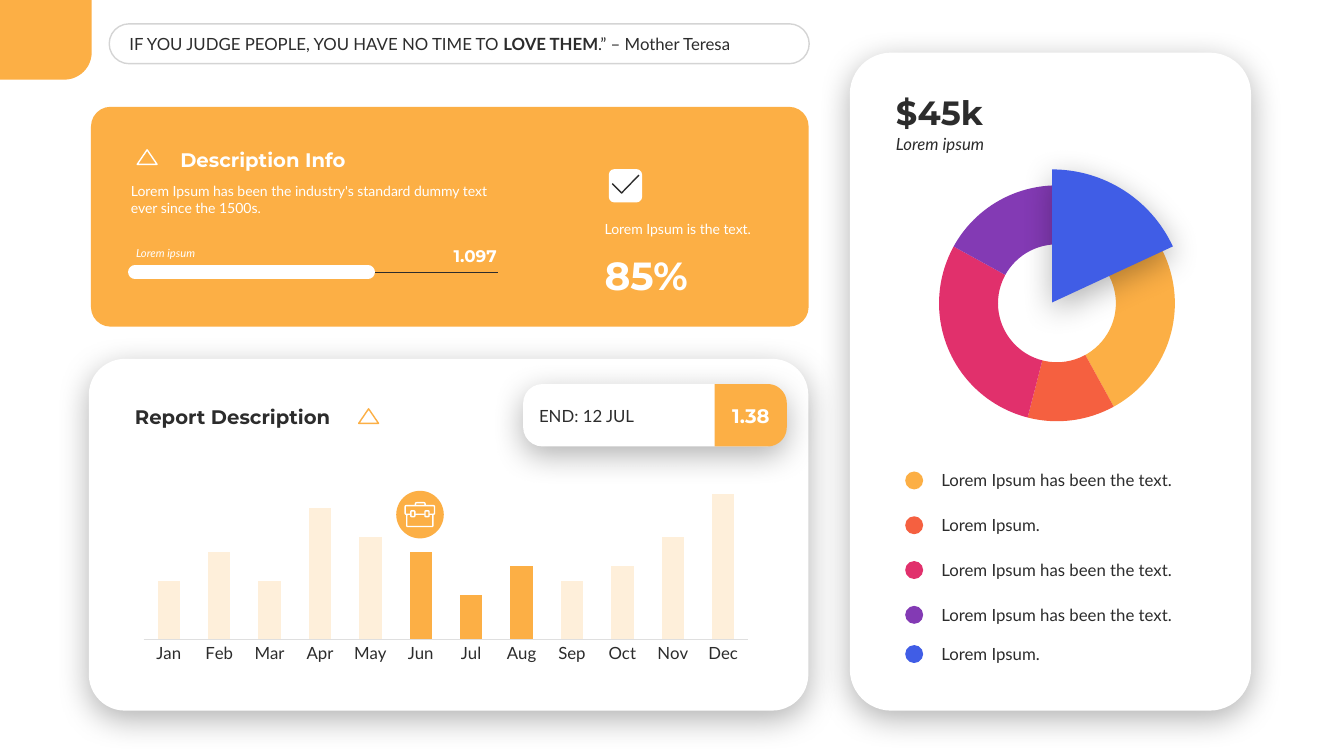
from math import cos, pi, sin

from lxml.etree import SubElement
from pptx import Presentation
from pptx.chart.data import CategoryChartData
from pptx.dml.color import RGBColor
from pptx.enum.chart import XL_CHART_TYPE, XL_TICK_MARK
from pptx.enum.shapes import MSO_CONNECTOR, MSO_SHAPE
from pptx.enum.text import MSO_ANCHOR, MSO_AUTO_SIZE, PP_ALIGN
from pptx.oxml.ns import qn
from pptx.oxml.xmlchemy import OxmlElement
from pptx.util import Pt

AMBER = RGBColor(0xFC, 0xAF, 0x45)
PALE = RGBColor(0xFE, 0xEF, 0xDA)
CORAL = RGBColor(0xF5, 0x60, 0x40)
PINK = RGBColor(0xE1, 0x30, 0x6C)
PURPLE = RGBColor(0x83, 0x3A, 0xB4)
BLUE = RGBColor(0x40, 0x5D, 0xE6)
DARK = RGBColor(0x2C, 0x2C, 0x2C)
GREY = RGBColor(0xDF, 0xDF, 0xDF)
WHITE = RGBColor(0xFF, 0xFF, 0xFF)

# Content
QUOTE = [("IF YOU JUDGE PEOPLE, YOU HAVE NO TIME TO ", False), ("LOVE THEM", True),
         (".” – Mother Teresa", False)]
MONTHS = {"Jan": 40, "Feb": 60, "Mar": 40, "Apr": 90, "May": 70, "Jun": 60,
          "Jul": 30, "Aug": 50, "Sep": 40, "Oct": 50, "Nov": 70, "Dec": 100}
HIGHLIGHTED = ("Jun", "Jul", "Aug")
SHARES = [("1", 42, AMBER), ("2", 12, CORAL), ("3", 29, PINK), ("4", 17, PURPLE)]
LONG, SHORT = "Lorem Ipsum has been the text.", "Lorem Ipsum."
LEGEND = [(LONG, AMBER, 332), (SHORT, CORAL, 364), (LONG, PINK, 396),
          (LONG, PURPLE, 428), (SHORT, BLUE, 456)]
# Briefcase parts: left, top, width, height, corner
BRIEFCASE = [(296.7, 359.1, 7, 2.2, 0.4), (290.6, 367.3, 18.6, 8.8, 0.06),
             (289.4, 361.2, 21, 6.1, 0.12), (293.5, 364.9, 2.9, 4.1, 0.2),
             (303.6, 364.9, 2.9, 4.1, 0.2)]

presentation = Presentation()
presentation.slide_width, presentation.slide_height = Pt(960), Pt(540)
slide = presentation.slides.add_slide(presentation.slide_layouts[6])
shapes = slide.shapes


def paint(shape, fill=None, line=None, width=1):
    shape.shadow.inherit = False
    if fill is None:
        shape.fill.background()
    else:
        shape.fill.solid()
        shape.fill.fore_color.rgb = fill
    if line is None:
        shape.line.fill.background()
    else:
        shape.line.color.rgb = line
        shape.line.width = Pt(width)


def add_shape(kind, left, top, width, height, adjustments=(), shadow=False, **colours):
    shape = shapes.add_shape(kind, Pt(left), Pt(top), Pt(width), Pt(height))
    for index, value in enumerate(adjustments):
        shape.adjustments[index] = value
    paint(shape, **colours)
    if shadow:
        effects = shape._element.spPr.find(qn("a:effectLst"))
        outer = SubElement(effects, qn("a:outerShdw"), blurRad=str(Pt(23)), dist=str(Pt(6)),
                           dir="5400000", algn="t", rotWithShape="0")
        colour = SubElement(outer, qn("a:srgbClr"), val="000000")
        SubElement(colour, qn("a:alpha"), val="30000")
    return shape


def add_text(text, left, top, width, height, size=12, font="Lato", colour=DARK, bold=False,
             italic=False, align=PP_ALIGN.LEFT, anchor=MSO_ANCHOR.TOP, inset=(7.2, 7.2)):
    frame = shapes.add_textbox(Pt(left), Pt(top), Pt(width), Pt(height)).text_frame
    frame.word_wrap = True
    frame.auto_size = MSO_AUTO_SIZE.SHAPE_TO_FIT_TEXT
    frame.vertical_anchor = anchor
    frame.margin_left, frame.margin_right = Pt(inset[0]), Pt(inset[1])
    paragraph = frame.paragraphs[0]
    paragraph.alignment = align
    for words, strong in [(text, bold)] if isinstance(text, str) else text:
        run = paragraph.add_run()
        run.text = words
        run.font.name, run.font.size = font, Pt(size)
        run.font.bold, run.font.italic = strong, italic
        run.font.color.rgb = colour


def add_outline(points, close=True, **colours):
    builder = shapes.build_freeform(*(Pt(value) for value in points[0]), scale=1.0)
    builder.add_line_segments([(Pt(x), Pt(y)) for x, y in points[1:]], close=close)
    paint(builder.convert_to_shape(), **colours)


def add_right_rounded(left, top, width, height, radius, round_top):
    """Block whose right-hand corners are rounded."""
    right, bottom = left + width, top + height
    turns = [step * pi / 24 for step in range(13)]
    points = [(left, bottom), (left, top)]
    if round_top:
        points += [(right - radius + radius * sin(t), top + radius - radius * cos(t))
                   for t in turns]
    else:
        points.append((right, top))
    points += [(right - radius + radius * cos(t), bottom - radius + radius * sin(t))
               for t in turns]
    add_outline(points, fill=AMBER)


def add_line(left, right, y, colour, width, cap="flat"):
    connector = shapes.add_connector(MSO_CONNECTOR.STRAIGHT, Pt(left), Pt(y), Pt(right), Pt(y))
    connector.line.color.rgb = colour
    connector.line.width = Pt(width)
    connector.line._get_or_add_ln().set("cap", cap)
    SubElement(connector._element.spPr, qn("a:effectLst"))


def add_chart(kind, rows, box, plot_box, size):
    data = CategoryChartData()
    data.categories = [name for name, value in rows]
    data.add_series("Series 1", [value for name, value in rows])
    chart = shapes.add_chart(kind, *(Pt(value) for value in box), data).chart
    chart.has_legend = chart.has_title = False
    chart.font.name, chart.font.size = "Lato", Pt(size)
    chart.font.color.rgb = DARK
    # Fixed inner plot area, as fractions of the chart
    area = chart._chartSpace.chart.plotArea
    for old in area.findall(qn("c:layout")):
        area.remove(old)
    layout = OxmlElement("c:layout")
    area.insert(0, layout)
    manual = SubElement(layout, qn("c:manualLayout"))
    settings = [("layoutTarget", "inner"), ("xMode", "edge"), ("yMode", "edge")]
    for name, value in settings + list(zip("xywh", plot_box)):
        SubElement(manual, qn("c:" + name), val=str(value))
    return chart


def colour_points(series, colours):
    for index, colour in enumerate(colours):
        point = series.points[index].format
        point.fill.solid()
        point.fill.fore_color.rgb = colour
        point.line.fill.background()


ROUNDED = MSO_SHAPE.ROUNDED_RECTANGLE
HEADING = {"font": "Montserrat", "bold": True}
MIDDLE, BOTTOM = MSO_ANCHOR.MIDDLE, MSO_ANCHOR.BOTTOM

# Quote and corner block
pill = add_shape(ROUNDED, 78, 17, 500, 28.5, [0.5], line=DARK)
pill_colour = pill.line._get_or_add_ln().find(".//" + qn("a:srgbClr"))
SubElement(pill_colour, qn("a:alpha"), val="20000")
add_text(QUOTE, 89.5, 20.3, 471.6, 21.8, anchor=MIDDLE, inset=(3, 3))
add_right_rounded(0, 0, 65.5, 56.9, 19.5, round_top=False)

# Description panel
add_shape(ROUNDED, 65, 76.3, 512.6, 157, [0.089], fill=AMBER)
add_shape(ROUNDED, 434.9, 120.8, 23.8, 23.8, fill=WHITE)
add_outline([(437.4, 131.2), (444, 137.9), (456.4, 125.1)], close=False, line=DARK)
add_text("Lorem Ipsum is the text.", 424.8, 153.4, 135.4, 19.4, size=10, colour=WHITE,
         anchor=BOTTOM)
add_text("85%", 424.8, 175.7, 135.4, 41, size=28, colour=WHITE, **HEADING)
add_line(96.5, 355.7, 194.4, DARK, 0.5)
add_line(96.5, 262.8, 194.4, WHITE, 10, cap="rnd")
add_text("Lorem ipsum", 91.4, 172.1, 138.2, 17.3, size=8, colour=WHITE, italic=True,
         anchor=BOTTOM, inset=(5.8, 7.2))
add_text("1.097", 311, 172.1, 46.8, 21.6, colour=WHITE, align=PP_ALIGN.RIGHT, anchor=BOTTOM,
         inset=(7.2, 3), **HEADING)
add_text("Description Info", 121.7, 101.5, 251.3, 24.5, size=14, colour=WHITE, anchor=BOTTOM,
         **HEADING)
add_text("Lorem Ipsum has been the industry's standard dummy text ever since the 1500s.",
         86.4, 126.7, 286.6, 31.7, size=10, colour=WHITE)

# Report panel
add_shape(ROUNDED, 63.4, 256.3, 514, 251.3, [0.103], shadow=True, fill=WHITE)
add_shape(ROUNDED, 373.7, 274.3, 188, 44.6, [0.311], shadow=True, fill=WHITE)
add_text("END: 12 JUL", 378, 285.8, 136.8, 21.8, anchor=MIDDLE)
add_right_rounded(510.5, 274.3, 51.5, 44.6, 13.7, round_top=True)
add_text("1.38", 510.5, 284.4, 51.8, 24.5, size=14, colour=WHITE, align=PP_ALIGN.CENTER,
         anchor=MIDDLE, inset=(3, 3), **HEADING)
add_text("Report Description", 89.3, 285.1, 253.4, 24.5, size=14, anchor=MIDDLE, **HEADING)
for left, top, colour in [(98, 107, WHITE), (256.2, 292, AMBER)]:
    add_shape(MSO_SHAPE.ISOSCELES_TRIANGLE, left, top, 14.2, 10.4, line=colour)

columns = add_chart(XL_CHART_TYPE.COLUMN_CLUSTERED, MONTHS.items(), (93.6, 329, 450, 148.3),
                    (0.02, 0.02, 0.96, 0.84), 12)
plot = columns.plots[0]
plot.gap_width, plot.overlap, plot.vary_by_categories = 125, -27, False
colour_points(plot.series[0], [AMBER if month in HIGHLIGHTED else PALE for month in MONTHS])
columns.value_axis.visible = False
columns.value_axis.has_major_gridlines = False
columns.value_axis.minimum_scale, columns.value_axis.maximum_scale = 0, 120
columns.category_axis.major_tick_mark = XL_TICK_MARK.NONE
columns.category_axis.format.line.color.rgb = GREY
columns.category_axis.format.line.width = Pt(0.75)

# Share panel
add_shape(ROUNDED, 607, 37.6, 286.6, 470, [0.103], shadow=True, fill=WHITE)
add_text("Lorem ipsum", 632.9, 92.2, 239, 21.8, italic=True, inset=(7.2, 5.8))
add_text("$45k", 632.9, 61.9, 239, 36, size=24, anchor=BOTTOM, inset=(7.2, 5.8), **HEADING)
ring = add_chart(XL_CHART_TYPE.DOUGHNUT, [share[:2] for share in SHARES],
                 (638, 123.1, 234, 187.2), (0.14, 0.05, 0.72, 0.9), 10)
ring.plots[0].vary_by_categories = True
colour_points(ring.plots[0].series[0], [colour for name, value, colour in SHARES])
add_shape(MSO_SHAPE.ARC, 656.6, 121, 190, 190, [162, 201.05], shadow=True, fill=BLUE)
for label, colour, top in LEGEND:
    add_shape(MSO_SHAPE.OVAL, 646.6, top + 4.8, 12.8, 12.8, fill=colour)
    add_text(label, 665.3, top, 196.6, 21.8, anchor=MIDDLE)

# Briefcase badge above June
add_shape(MSO_SHAPE.OVAL, 283, 350.6, 34, 34, fill=AMBER)
for *box, corner in BRIEFCASE:
    add_shape(ROUNDED, *box, [corner], fill=AMBER, line=WHITE)

presentation.save("out.pptx")
